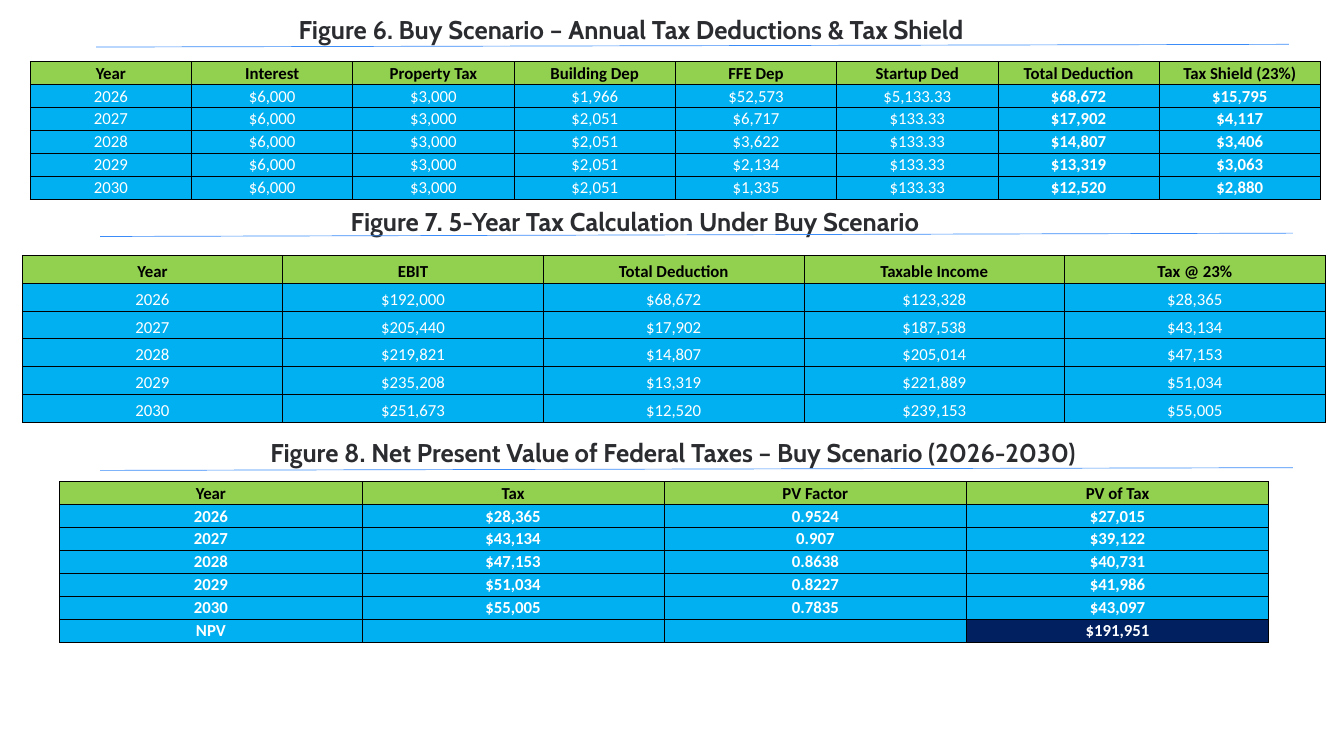
from lxml import etree
from pptx import Presentation
from pptx.dml.color import RGBColor
from pptx.enum.shapes import MSO_CONNECTOR
from pptx.enum.text import MSO_ANCHOR, MSO_AUTO_SIZE, PP_ALIGN
from pptx.oxml.ns import qn
from pptx.util import Pt

CENTER = PP_ALIGN.CENTER
TOP, BOTTOM = MSO_ANCHOR.TOP, MSO_ANCHOR.BOTTOM
FIT_SHAPE = MSO_AUTO_SIZE.SHAPE_TO_FIT_TEXT
STRAIGHT = MSO_CONNECTOR.STRAIGHT


def rgb(value):
    return RGBColor.from_string(value)


class FigureSlide:
    INK, RULE, GRID = "2B2C30", "3B8CF8", "000000"
    HEAD, BODY, TOTAL, LIGHT = "92D050", "00B0F0", "002060", "FFFFFF"

    def __init__(self, s):
        self.s = s

    def style(self, p, font, size, color, bold):
        p.alignment = CENTER
        p.font.name, p.font.size, p.font.bold = font, Pt(size), bold
        p.font.color.rgb = rgb(color)

    def heading(self, sp, text, x, y, w, h):
        sp.left, sp.top, sp.width, sp.height = Pt(x), Pt(y), Pt(w), Pt(h)
        tf = sp.text_frame
        tf.margin_left = tf.margin_right = tf.margin_top = tf.margin_bottom = 0
        tf.word_wrap, tf.auto_size, tf.vertical_anchor = True, FIT_SHAPE, TOP
        p = tf.paragraphs[0]
        p.text = text
        p.line_spacing = Pt(39.2)
        self.style(p, "Cabin", 27.5, self.INK, True)

    def title(self, *args):
        self.heading(self.s.shapes.title, *args)

    def subtitle(self, *args):
        self.heading(self.s.shapes.add_textbox(0, 0, 0, 0), *args)

    def rule(self, x, y, rise):
        line = self.s.shapes.add_connector(
            STRAIGHT, Pt(x), Pt(y), Pt(x + 1278), Pt(y - rise))
        line.line.color.rgb, line.line.width = rgb(self.RULE), Pt(0.75)
        etree.SubElement(line._element.spPr, qn("a:effectLst"))

    def borders(self, cell):
        tc_pr = cell._tc.get_or_add_tcPr()
        for side in ("a:lnL", "a:lnR", "a:lnT", "a:lnB"):
            ln = etree.SubElement(tc_pr, qn(side), w=str(Pt(1)))
            fill = etree.SubElement(ln, qn("a:solidFill"))
            etree.SubElement(fill, qn("a:srgbClr"), val=self.GRID)

    def cell(self, cell, text, fill, color, bold):
        cell.margin_left = cell.margin_right = Pt(2)
        cell.margin_top = cell.margin_bottom = Pt(1.2)
        cell.vertical_anchor = BOTTOM
        self.borders(cell)
        cell.fill.solid()
        cell.fill.fore_color.rgb = rgb(fill)
        p = cell.text_frame.paragraphs[0]
        if text:
            p.text = text
        self.style(p, "Calibri", 18, color, bold)

    def table(self, rows, x, y, w, row_h, bold_cols=(), total=None):
        n, m = len(rows), len(rows[0])
        table = self.s.shapes.add_table(
            n, m, Pt(x), Pt(y), Pt(w), Pt(row_h * n)).table
        table.first_row = table.horz_banding = False
        for row in table.rows:
            row.height = Pt(row_h)
        for i, row in enumerate(rows):
            for j, text in enumerate(row):
                if i == 0:
                    look = self.HEAD, self.GRID, True
                else:
                    fill = self.TOTAL if (i, j) == total else self.BODY
                    look = fill, self.LIGHT, j in bold_cols
                self.cell(table.cell(i, j), text, *look)


# Table contents
years = ["2026", "2027", "2028", "2029", "2030"]
building = ["$1,966"] + ["$2,051"] * 4
ffe = ["$52,573", "$6,717", "$3,622", "$2,134", "$1,335"]
startup = ["$5,133.33"] + ["$133.33"] * 4
deductions = ["$68,672", "$17,902", "$14,807", "$13,319", "$12,520"]
shield = ["$15,795", "$4,117", "$3,406", "$3,063", "$2,880"]
ebit = ["$192,000", "$205,440", "$219,821", "$235,208", "$251,673"]
income = ["$123,328", "$187,538", "$205,014", "$221,889", "$239,153"]
tax = ["$28,365", "$43,134", "$47,153", "$51,034", "$55,005"]
factors = ["0.9524", "0.907", "0.8638", "0.8227", "0.7835"]
present = ["$27,015", "$39,122", "$40,731", "$41,986", "$43,097"]

shield_rows = [("Year", "Interest", "Property Tax", "Building Dep", "FFE Dep",
                "Startup Ded", "Total Deduction", "Tax Shield (23%)"),
               *zip(years, ["$6,000"] * 5, ["$3,000"] * 5, building, ffe,
                    startup, deductions, shield)]
tax_rows = [("Year", "EBIT", "Total Deduction", "Taxable Income", "Tax @ 23%"),
            *zip(years, ebit, deductions, income, tax)]
npv_rows = [("Year", "Tax", "PV Factor", "PV of Tax"),
            *zip(years, tax, factors, present),
            ("NPV", "", "", "$191,951")]

prs = Presentation()
prs.slide_width, prs.slide_height = Pt(1440), Pt(810)
fig = FigureSlide(prs.slides.add_slide(prs.slide_layouts[5]))

# Headings
fig.title("Figure 6. Buy Scenario – Annual Tax Deductions & Tax Shield",
          257.8, 8.6, 836.6, 75.6)
fig.subtitle("Figure 7. 5-Year Tax Calculation Under Buy Scenario",
             262, 214.6, 836.6, 36.7)
fig.subtitle("Figure 8. Net Present Value of Federal Taxes – "
             "Buy Scenario (2026-2030)", 207.4, 462.2, 1027.4, 36)

# Rules under the headings
fig.rule(103, 50.4, 2.9)
fig.rule(107.3, 253.4, 3.6)
fig.rule(107.3, 504, 2.9)

# Tables
fig.table(shield_rows, 32.4, 66.2, 1382.4, 24.6, bold_cols=(6, 7))
fig.table(tax_rows, 23.8, 273.6, 1396, 29.8)
fig.table(npv_rows, 64.1, 516.2, 1295.3, 24.6, bold_cols=range(4), total=(6, 3))

prs.save("out.pptx")
